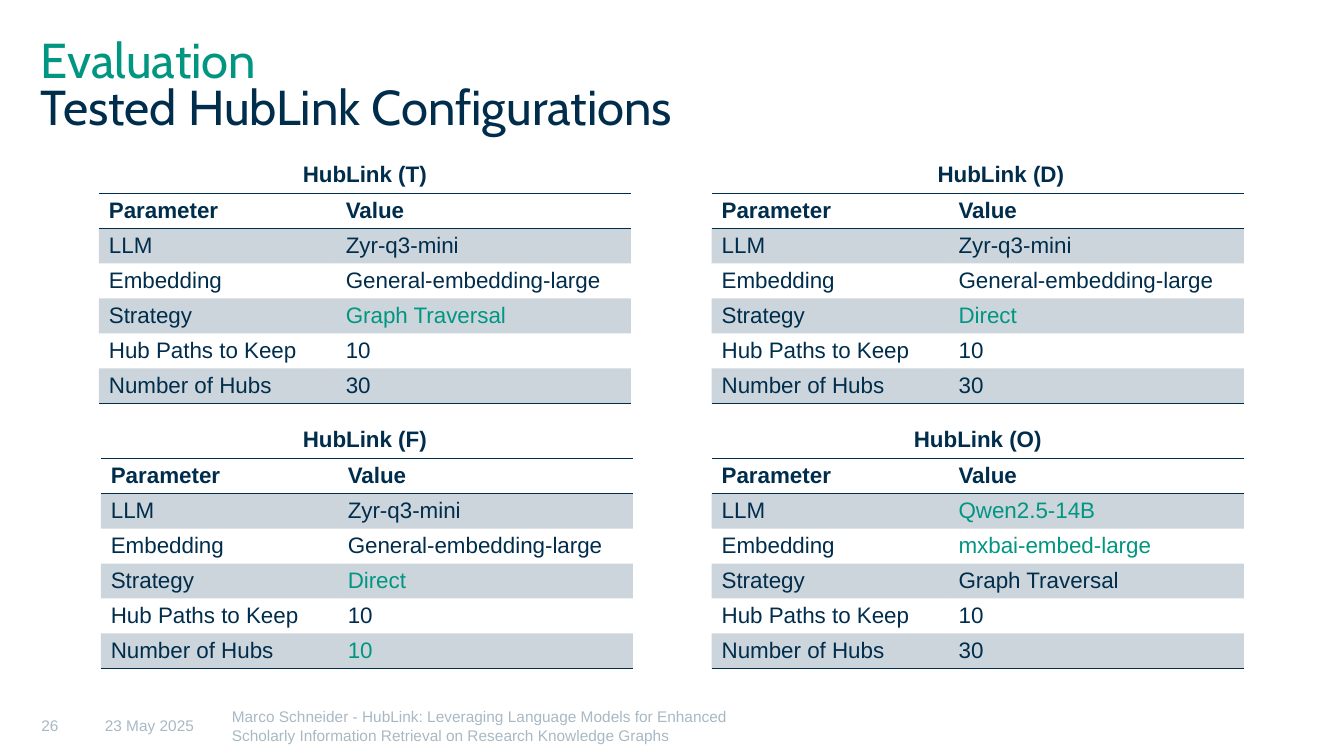
from dataclasses import dataclass
from typing import Any

from lxml import etree
from pptx import Presentation
from pptx.dml.color import RGBColor
from pptx.enum.text import MSO_ANCHOR, PP_ALIGN
from pptx.oxml.ns import qn
from pptx.util import Pt

TOP, MIDDLE = MSO_ANCHOR.TOP, MSO_ANCHOR.MIDDLE
LEFT, CENTER = PP_ALIGN.LEFT, PP_ALIGN.CENTER
PLAIN_TABLE_STYLE = "{2D5ABB26-0587-4C30-8999-92F81FD0307C}"


@dataclass(frozen=True)
class Theme:
    navy: str = "002D4C"
    green: str = "009682"
    grey: str = "A8B9C4"
    band_alpha: int = 20000
    heading_font: str = "Cabin"
    body_font: str = "Arial"
    title_size: float = 35
    body_size: float = 16
    footer_size: float = 11
    rule_width: float = 1


@dataclass(frozen=True)
class Box:
    left: float
    top: float
    width: float
    height: float


@dataclass(frozen=True)
class Configuration:
    name: str
    left: float
    top: float
    caption_left: float
    values: tuple[str, ...]
    highlighted: frozenset[str]


@dataclass(frozen=True)
class FooterItem:
    text: str
    left: float
    width: float


THEME = Theme()
PARAMETERS = ("LLM", "Embedding", "Strategy", "Hub Paths to Keep", "Number of Hubs")
COLUMN_WIDTHS = (169.2, 210.9)
ROW_HEIGHT = 25
CELL_MARGIN = 2.8
CAPTION_OFFSET = 26
UPPER, LOWER = 138.2, 327.6
RIGHT_COLUMN = 508.3

BASE_MODELS = ("Zyr-q3-mini", "General-embedding-large")
CONFIGURATIONS = (
    Configuration("HubLink (T)", 70.6, UPPER, 172.8,
                  (*BASE_MODELS, "Graph Traversal", "10", "30"), frozenset({"Strategy"})),
    Configuration("HubLink (D)", RIGHT_COLUMN, UPPER, 627.1,
                  (*BASE_MODELS, "Direct", "10", "30"), frozenset({"Strategy"})),
    Configuration("HubLink (F)", 72, LOWER, 172.8,
                  (*BASE_MODELS, "Direct", "10", "10"),
                  frozenset({"Strategy", "Number of Hubs"})),
    Configuration("HubLink (O)", RIGHT_COLUMN, LOWER, 610.6,
                  ("Qwen2.5-14B", "mxbai-embed-large", "Graph Traversal", "10", "30"),
                  frozenset({"LLM", "Embedding"})),
)
FOOTER = (
    FooterItem("26", 29.5, 45.4),
    FooterItem("23 May 2025", 74.9, 90.7),
    FooterItem("Marco Schneider - HubLink: Leveraging Language Models for Enhanced "
               "Scholarly Information Retrieval on Research Knowledge Graphs", 165.6, 360),
)


def set_attributes(target: Any, values: dict[str, Any]) -> None:
    for name, value in values.items():
        setattr(target, name, value)


def add_run(paragraph: Any, text: str, size: float, color: str,
            bold: bool = False, font: str = THEME.body_font) -> None:
    run = paragraph.add_run()
    run.text = text
    set_attributes(run.font, {"name": font, "size": Pt(size), "bold": bold})
    run.font.color.rgb = RGBColor.from_string(color)


def add_text_box(slide: Any, box: Box, paragraph_format: dict[str, Any],
                 anchor: Any = TOP, margin_top: float = 0) -> Any:
    shape = slide.shapes.add_textbox(
        Pt(box.left), Pt(box.top), Pt(box.width), Pt(box.height))
    set_attributes(shape.text_frame, {
        "word_wrap": True, "vertical_anchor": anchor,
        "margin_left": 0, "margin_right": 0,
        "margin_top": Pt(margin_top), "margin_bottom": 0,
    })
    paragraph = shape.text_frame.paragraphs[0]
    set_attributes(paragraph, paragraph_format)
    return paragraph


def add_title(slide: Any) -> None:
    paragraph = add_text_box(slide, Box(29.2, 29.2, 901.4, 79.2), {"line_spacing": 0.8})
    add_run(paragraph, "Evaluation", THEME.title_size, THEME.green, font=THEME.heading_font)
    paragraph.add_line_break()
    add_run(paragraph, "Tested HubLink Configurations", THEME.title_size, THEME.navy,
            font=THEME.heading_font)


def add_rule(cell: Any, edge: str) -> None:
    properties = cell._tc.get_or_add_tcPr()
    line = etree.SubElement(properties, qn(f"a:{edge}"), w=str(Pt(THEME.rule_width)))
    fill = etree.SubElement(line, qn("a:solidFill"))
    etree.SubElement(fill, qn("a:srgbClr"), val=THEME.navy)


def fill_cell(cell: Any, banded: bool) -> None:
    if not banded:
        cell.fill.background()
        return
    cell.fill.solid()
    cell.fill.fore_color.rgb = RGBColor.from_string(THEME.navy)
    color = cell._tc.tcPr.find(f"{qn('a:solidFill')}/{qn('a:srgbClr')}")
    etree.SubElement(color, qn("a:alpha"), val=str(THEME.band_alpha))


def add_configuration(slide: Any, configuration: Configuration) -> None:
    rows = (("Parameter", "Value"), *zip(PARAMETERS, configuration.values))
    frame = slide.shapes.add_table(
        len(rows), len(COLUMN_WIDTHS), Pt(configuration.left), Pt(configuration.top),
        Pt(sum(COLUMN_WIDTHS)), Pt(ROW_HEIGHT * len(rows)))
    table = frame.table
    set_attributes(table, {"first_row": False, "horz_banding": False})
    table._tbl.tblPr.find(qn("a:tableStyleId")).text = PLAIN_TABLE_STYLE
    for column, width in zip(table.columns, COLUMN_WIDTHS):
        column.width = Pt(width)

    for row_index, row in enumerate(rows):
        table.rows[row_index].height = Pt(ROW_HEIGHT)
        is_header = row_index == 0
        for column_index, text in enumerate(row):
            cell = table.cell(row_index, column_index)
            set_attributes(cell, {"margin_top": Pt(CELL_MARGIN),
                                  "margin_bottom": Pt(CELL_MARGIN),
                                  "vertical_anchor": MIDDLE})
            if is_header:
                add_rule(cell, "lnT")
            if is_header or row_index == len(rows) - 1:
                add_rule(cell, "lnB")
            fill_cell(cell, banded=row_index % 2 == 1)
            is_highlighted = column_index == 1 and row[0] in configuration.highlighted
            add_run(cell.text_frame.paragraphs[0], text, THEME.body_size,
                    THEME.green if is_highlighted else THEME.navy, bold=is_header)

    caption = add_text_box(
        slide,
        Box(configuration.caption_left, configuration.top - CAPTION_OFFSET, 175.7, 22.3),
        {"alignment": CENTER, "line_spacing": 1.1, "space_after": Pt(3)})
    add_run(caption, configuration.name, THEME.body_size, THEME.navy, bold=True)


def add_footer_item(slide: Any, item: FooterItem) -> None:
    paragraph = add_text_box(slide, Box(item.left, 493.9, item.width, 46.1),
                             {"alignment": LEFT}, MIDDLE, 2.9)
    add_run(paragraph, item.text, THEME.footer_size, THEME.grey)


def main() -> None:
    presentation = Presentation()
    set_attributes(presentation, {"slide_width": Pt(960), "slide_height": Pt(540)})
    slide = presentation.slides.add_slide(presentation.slide_layouts[6])
    add_title(slide)
    for configuration in CONFIGURATIONS:
        add_configuration(slide, configuration)
    for item in FOOTER:
        add_footer_item(slide, item)
    presentation.save("out.pptx")


if __name__ == "__main__":
    main()
